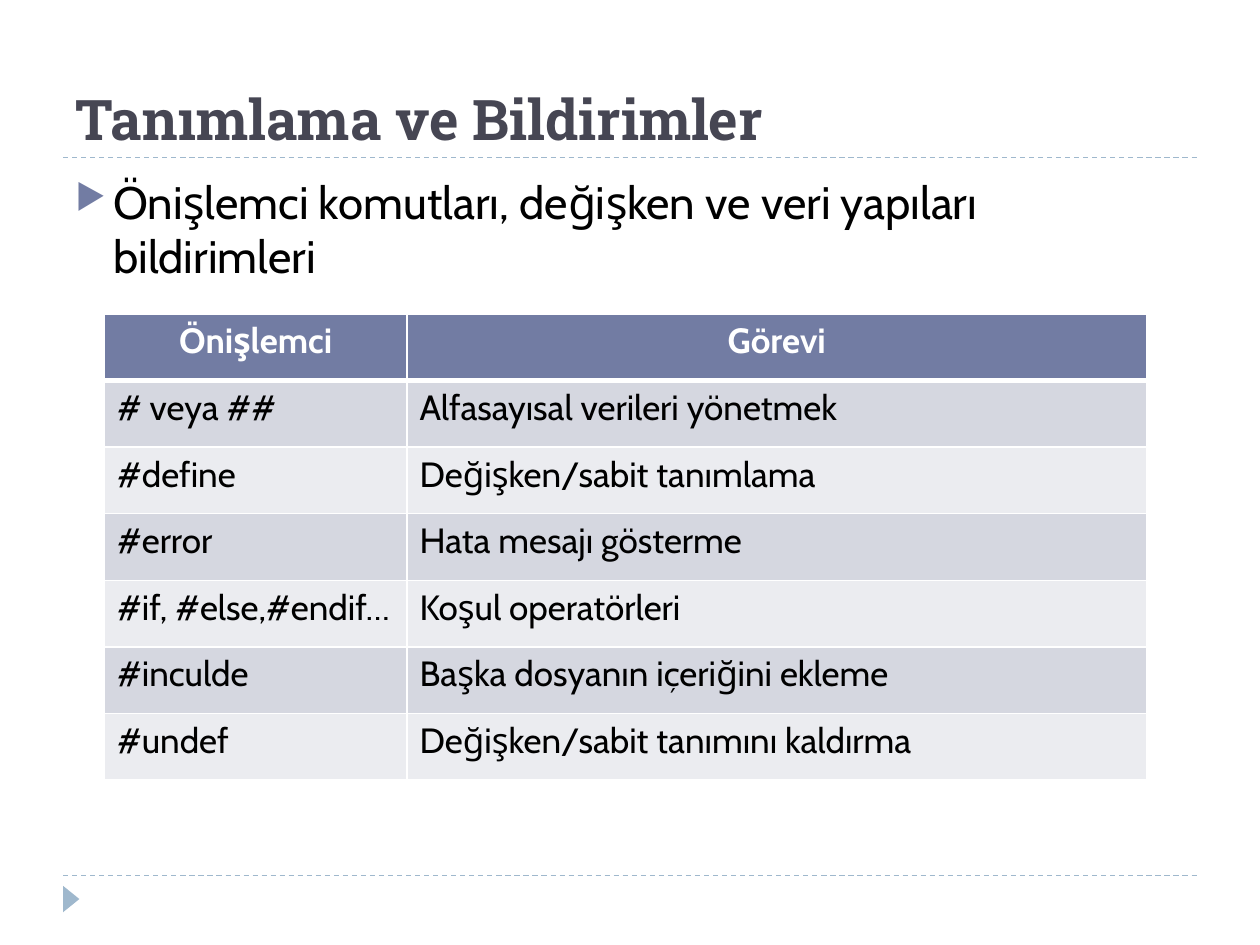
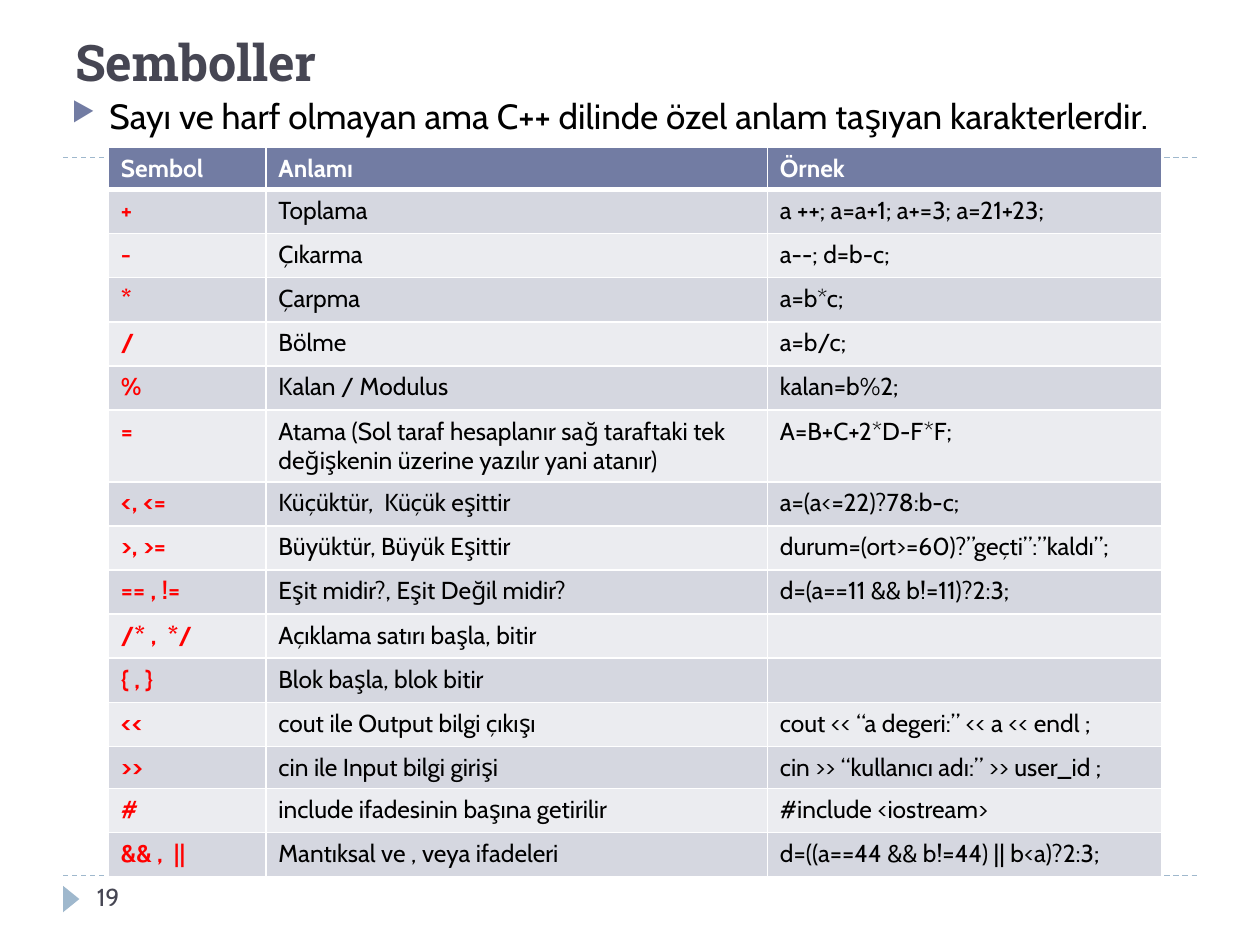
from lxml.etree import SubElement
from pptx import Presentation
from pptx.dml.color import RGBColor
from pptx.enum.dml import MSO_LINE
from pptx.enum.shapes import MSO_CONNECTOR, MSO_SHAPE
from pptx.enum.text import MSO_ANCHOR, PP_ALIGN
from pptx.oxml import parse_xml
from pptx.oxml.ns import nsdecls, qn
from pptx.util import Inches, Pt

COLOURS = {
    "title": "464653", "accent": "727CA3", "rule": "9FB8CD", "text": "000000",
    "white": "FFFFFF", "symbol": "FF0000", "odd": "D5D7E0", "even": "EBECF0",
}
WIDTH, HEIGHT = Inches(10), Inches(7.5)
HEADING_FONT, BODY_FONT = "Roboto Slab", "Cabin"

# All places and sizes are percentages of the slide's width and height.
RULE_SPAN, RULE_HEIGHTS = (5, 95), (92.67, 16.67)
MARKER_BOX = (4.6, 94.27, 2.1, 1.73)
NUMBER_BOX = (6.7, 92.67, 21.7, 5.33)
ROW, SHORT_ROW, DOUBLE_ROW = 4.67, 4.4, 7.6

PREPROCESSOR_ROWS = [
    ("Önişlemci", "Görevi"),
    ("# veya ##", "Alfasayısal verileri yönetmek"),
    ("#define", "Değişken/sabit tanımlama"),
    ("#error", "Hata mesajı gösterme"),
    ("#if, #else,#endif…", "Koşul operatörleri"),
    ("#inculde", "Başka dosyanın içeriğini ekleme"),
    ("#undef", "Değişken/sabit tanımını kaldırma"),
]
SYMBOL_ROWS = [
    ("Sembol", "Anlamı", "Örnek"),
    ("+", "Toplama", "a ++; a=a+1; a+=3; a=21+23;"),
    ("-", "Çıkarma", "a--; d=b-c;"),
    ("*", "Çarpma", "a=b*c;"),
    ("/", "Bölme", "a=b/c;"),
    ("%", "Kalan / Modulus", "kalan=b%2;"),
    ("=", "Atama (Sol taraf hesaplanır sağ taraftaki tek değişkenin "
          "üzerine yazılır yani atanır)", "A=B+C+2*D-F*F;"),
    ("<, <=", "Küçüktür,  Küçük eşittir", "a=(a<=22)?78:b-c;"),
    (">, >=", "Büyüktür, Büyük Eşittir", "durum=(ort>=60)?”geçti”:”kaldı”;"),
    ("== , !=", "Eşit midir?, Eşit Değil midir?", "d=(a==11 && b!=11)?2:3;"),
    ("/* ,  */", "Açıklama satırı başla, bitir", ""),
    ("{ , }", "Blok başla, blok bitir", ""),
    ("<<", "cout ile Output bilgi çıkışı", "cout << “a degeri:” << a << endl ;"),
    (">>", "cin ile Input bilgi girişi", "cin >> “kullanıcı adı:” >> user_id ;"),
    ("#", "include ifadesinin başına getirilir", "#include <iostream>"),
    ("&& ,  ||", "Mantıksal ve , veya ifadeleri", "d=((a==44 && b!=44) || b<a)?2:3;"),
]
SLIDES = [
    {
        "title": "Tanımlama ve Bildirimler", "title_size": 32,
        "title_box": (5, 2.27, 90, 14.4),
        "body": "Önişlemci komutları, değişken ve veri yapıları bildirimleri",
        "body_size": 26, "body_box": (5, 17.73, 90, 72),
        "rows": PREPROCESSOR_ROWS, "corner": (8.3, 33.2), "columns": (24, 58.7),
        "row_heights": [7.05] * 7, "table_size": 20,
        "header_align": PP_ALIGN.CENTER, "first_column": {},
    },
    {
        "title": "Semboller", "title_size": 28.8, "title_box": (5, 2.27, 90, 8.13),
        "body": "Sayı ve harf olmayan ama C++ dilinde özel anlam taşıyan karakterlerdir.",
        "body_size": 20, "body_box": (4.7, 9.33, 90, 6.13),
        "rows": SYMBOL_ROWS, "corner": (8.6, 15.6), "columns": (12.5, 39.8, 31.3),
        "row_heights": [SHORT_ROW] + [ROW] * 5 + [DOUBLE_ROW] + [ROW] * 6
                       + [SHORT_ROW] + [ROW] * 2,
        "table_size": 14, "header_align": PP_ALIGN.LEFT,
        "first_column": {"colour": "symbol", "bold": True}, "number": "19",
    },
]


def across(percent):
    """Turn a share of the slide's width into a length."""
    return round(WIDTH * percent / 100)


def down(percent):
    """Turn a share of the slide's height into a length."""
    return round(HEIGHT * percent / 100)


def place(box):
    """Turn a box of percentages into left, top, width and height."""
    left, top, width, height = box
    return across(left), down(top), across(width), down(height)


def colour(name):
    """Look up a named colour."""
    return RGBColor.from_string(COLOURS[name])


def write(paragraph, text, size, colour_name="text", bold=False, font=BODY_FONT):
    """Put one formatted run of text in a paragraph."""
    run = paragraph.add_run()
    run.text = text
    for name, value in {"size": Pt(size), "bold": bold, "name": font}.items():
        setattr(run.font, name, value)
    run.font.color.rgb = colour(colour_name)


def add_text(slide, box, text, size, anchor=MSO_ANCHOR.TOP, **style):
    """Add a wrapping text box and return its paragraph."""
    frame = slide.shapes.add_textbox(*place(box)).text_frame
    for name, value in {"word_wrap": True, "vertical_anchor": anchor}.items():
        setattr(frame, name, value)
    paragraph = frame.paragraphs[0]
    write(paragraph, text, size, **style)
    return paragraph


def add_bullet(paragraph):
    """Give a paragraph the triangle bullet and its hanging indent."""
    paragraph.space_before = Pt(6)
    properties = paragraph._p.get_or_add_pPr()
    properties.set("marL", str(Inches(0.3)))
    properties.set("indent", str(-Inches(0.3)))
    bullet_colour = SubElement(properties, qn("a:buClr"))
    SubElement(bullet_colour, qn("a:srgbClr"), val=COLOURS["accent"])
    SubElement(properties, qn("a:buSzPct"), val="76000")
    SubElement(properties, qn("a:buChar"), char="▶")


def add_frame(slide):
    """Draw the dashed rules and the footer marker shared by the slides."""
    start, end = RULE_SPAN
    for height in RULE_HEIGHTS:
        rule = slide.shapes.add_connector(
            MSO_CONNECTOR.STRAIGHT, across(start), down(height), across(end), down(height))
        rule.line.color.rgb = colour("rule")
        for name, value in {"width": Pt(0.75), "dash_style": MSO_LINE.DASH}.items():
            setattr(rule.line, name, value)
        SubElement(rule._element.spPr, qn("a:effectLst"))
    marker = slide.shapes.add_shape(MSO_SHAPE.ISOSCELES_TRIANGLE, *place(MARKER_BOX))
    marker.rotation = 90
    marker.shadow.inherit = False
    marker.fill.solid()
    marker.fill.fore_color.rgb = colour("rule")
    marker.line.fill.background()


def add_borders(cell, header):
    """Draw white borders round a cell, thicker below the header."""
    properties = cell._tc.get_or_add_tcPr()
    for index, side in enumerate("LRTB"):
        width = Pt(3 if header and side == "B" else 1)
        properties.insert(index, parse_xml(
            f'<a:ln{side} {nsdecls("a")} w="{width}"><a:solidFill>'
            f'<a:srgbClr val="{COLOURS["white"]}"/></a:solidFill></a:ln{side}>'))


def fill_cell(cell, text, row, column, content):
    """Write and colour one table cell."""
    header = row == 0
    size = content["table_size"]
    paragraph = cell.text_frame.paragraphs[0]
    style = content["first_column"] if column == 0 else {}
    if header:
        paragraph.alignment = content["header_align"]
        style = {"colour": "white", "bold": True}
    if text:
        write(paragraph, text, size, style.get("colour", "text"), style.get("bold", False))
    else:
        SubElement(paragraph._p, qn("a:endParaRPr"), sz=str(size * 100))
    cell.fill.solid()
    band = "accent" if header else "odd" if row % 2 else "even"
    cell.fill.fore_color.rgb = colour(band)
    add_borders(cell, header)


def add_banded_table(slide, content):
    """Add the slide's table with its banded rows."""
    rows, columns, heights = (content[key] for key in ("rows", "columns", "row_heights"))
    box = (*content["corner"], sum(columns), sum(heights))
    table = slide.shapes.add_table(len(rows), len(columns), *place(box)).table
    table.horz_banding = False
    for column, width in zip(table.columns, columns):
        column.width = across(width)
    for row, height in zip(table.rows, heights):
        row.height = down(height)
    for row, texts in enumerate(rows):
        for column, text in enumerate(texts):
            fill_cell(table.cell(row, column), text, row, column, content)


def build_slide(presentation, content):
    """Build one slide from its content."""
    slide = presentation.slides.add_slide(presentation.slide_layouts[6])
    add_frame(slide)
    add_text(slide, content["title_box"], content["title"], content["title_size"],
             MSO_ANCHOR.BOTTOM, colour_name="title", bold=True, font=HEADING_FONT)
    if "number" in content:
        add_text(slide, NUMBER_BOX, content["number"], 14, colour_name="title")
    add_bullet(add_text(slide, content["body_box"], content["body"], content["body_size"]))
    add_banded_table(slide, content)


presentation = Presentation()
presentation.slide_width, presentation.slide_height = WIDTH, HEIGHT
for content in SLIDES:
    build_slide(presentation, content)
presentation.save("out.pptx")
